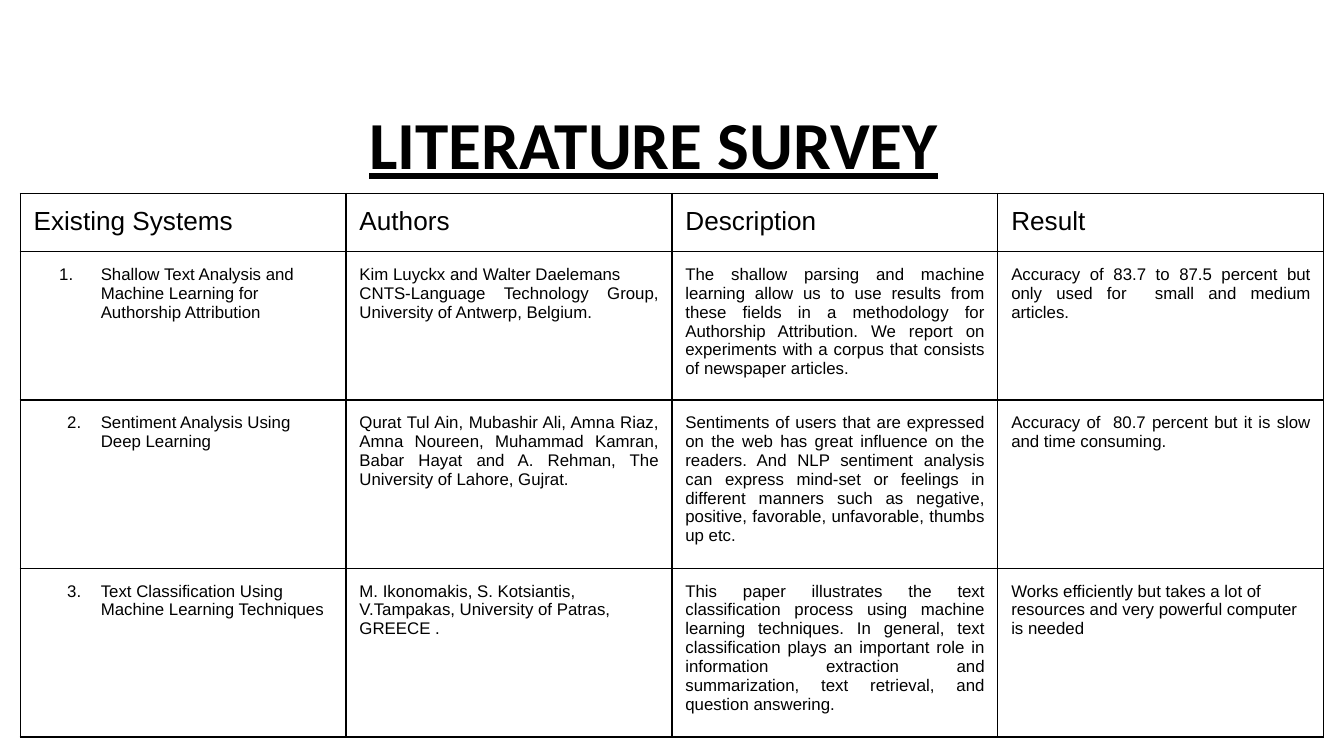
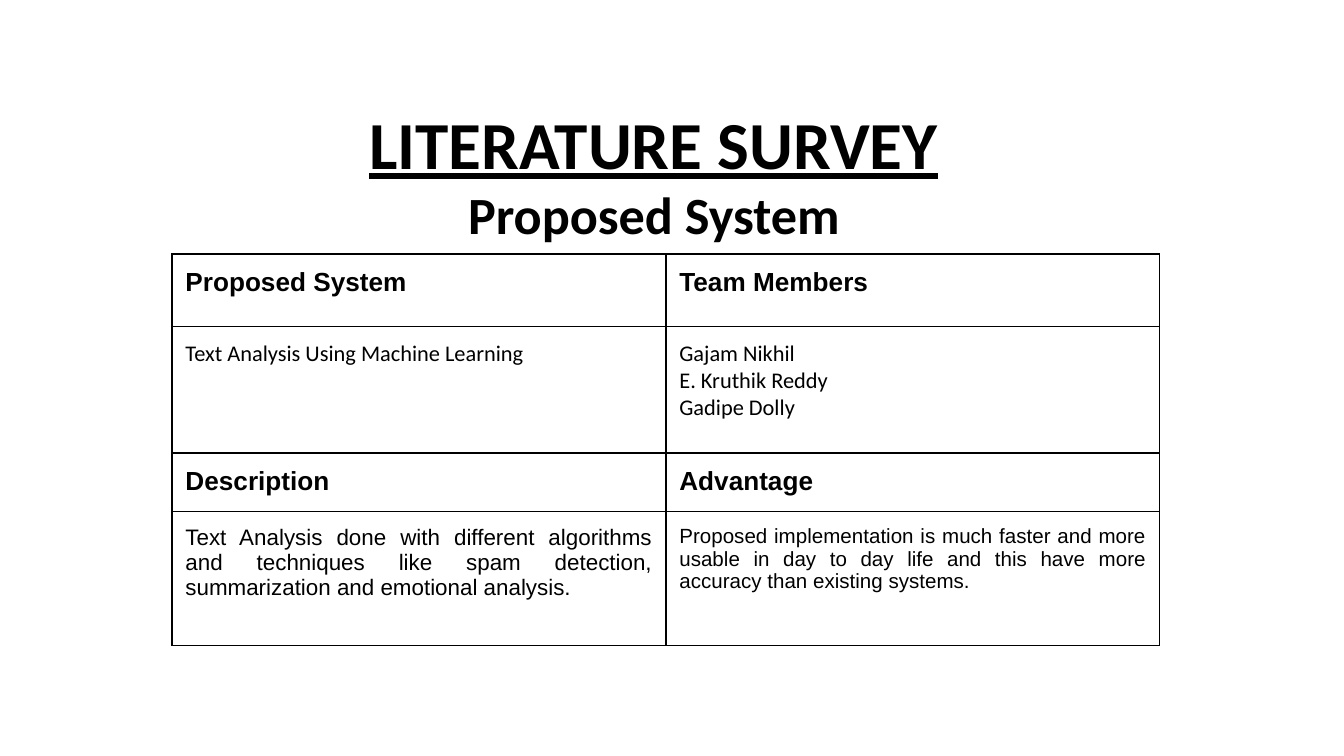
from dataclasses import dataclass
from typing import Optional

from lxml import etree
from pptx import Presentation
from pptx.dml.color import RGBColor
from pptx.enum import text
from pptx.oxml import ns
from pptx.util import Inches, Pt

LEFT, CENTER, JUSTIFY = text.PP_ALIGN.LEFT, text.PP_ALIGN.CENTER, text.PP_ALIGN.JUSTIFY


@dataclass(frozen=True)
class Style:
    size: float
    font: str = "Arial"
    bold: bool = False
    underline: bool = False


@dataclass(frozen=True)
class Theme:
    ink: RGBColor = RGBColor(0, 0, 0)
    paper: RGBColor = RGBColor(255, 255, 255)
    border: float = 0.75
    cell_margin: float = 0.1
    title: Style = Style(36, "Calibri", bold=True, underline=True)
    subtitle: Style = Style(28, "Calibri", bold=True)
    header: Style = Style(14)
    strong_header: Style = Style(14, bold=True)
    survey: Style = Style(9)
    people: Style = Style(12, "Calibri")
    description: Style = Style(12)
    advantage: Style = Style(11)


THEME = Theme()


@dataclass(frozen=True)
class Entry:
    """Content of one table cell; a newline starts a new paragraph."""
    words: str
    style: Style = THEME.survey
    align: text.PP_ALIGN = JUSTIFY
    hanging: Optional[float] = None
    auto_number: bool = False


@dataclass(frozen=True)
class Grid:
    left: float
    top: float
    width: float
    heights: list[float]
    rows: list[list[Entry]]


def headers(style: Style, *names: str) -> list[Entry]:
    return [Entry(name, style, LEFT) for name in names]


# Content
SURVEY = Grid(0.15, 1.44, 9.7, [0.43, 1.1, 1.25, 1.25], [
    headers(THEME.header, "Existing Systems", "Authors", "Description", "Result"),
    [
        Entry("Shallow Text Analysis and Machine Learning for Authorship "
              "Attribution", align=LEFT, hanging=0.31, auto_number=True),
        Entry("Kim Luyckx and Walter Daelemans\n"
              "CNTS-Language Technology Group, University of Antwerp, Belgium."),
        Entry("The shallow parsing and machine learning allow us to use results "
              "from these fields in a methodology for Authorship Attribution. "
              "We report on experiments with a corpus that consists of "
              "newspaper articles."),
        Entry("Accuracy of 83.7 to 87.5 percent but only used for  small and "
              "medium articles."),
    ],
    [
        Entry("2.\tSentiment Analysis Using Deep Learning", align=LEFT, hanging=0.25),
        Entry("Qurat Tul Ain, Mubashir Ali, Amna Riaz, Amna Noureen, Muhammad "
              "Kamran, Babar Hayat and A. Rehman, The University of Lahore, Gujrat."),
        Entry("Sentiments of users that are expressed on the web has great "
              "influence on the readers. And NLP sentiment analysis can express "
              "mind-set or feelings in different manners such as negative, "
              "positive, favorable, unfavorable, thumbs up etc."),
        Entry("Accuracy of  80.7 percent but it is slow and time consuming."),
    ],
    [
        Entry("3.\tText Classification Using Machine Learning Techniques",
              align=LEFT, hanging=0.25),
        Entry("M. Ikonomakis, S. Kotsiantis, V.Tampakas, University of Patras, "
              "GREECE .", align=LEFT),
        Entry("This paper illustrates the text classification process using "
              "machine learning techniques. In general, text classification "
              "plays an important role in information extraction and "
              "summarization, text retrieval, and question answering."),
        Entry("Works efficiently but takes a lot of resources and very powerful "
              "computer is needed", align=LEFT),
    ],
])

PROPOSAL = Grid(1.28, 1.89, 7.35, [0.54, 0.94], [
    headers(THEME.strong_header, "Proposed System", "Team Members"),
    [
        Entry("Text Analysis Using Machine Learning", THEME.people),
        Entry("Gajam Nikhil\nE. Kruthik Reddy\nGadipe Dolly", THEME.people, LEFT),
    ],
])

BENEFITS = Grid(1.28, 3.37, 7.35, [0.43, 1.0], [
    headers(THEME.strong_header, "Description", "Advantage"),
    [
        Entry("Text Analysis done with different algorithms and techniques like "
              "spam detection, summarization and emotional analysis.",
              THEME.description),
        Entry("Proposed implementation is much faster and more usable in day to "
              "day life and this have more accuracy than existing systems.",
              THEME.advantage),
    ],
])


# Drawing
def format_para(para, style: Style, align: text.PP_ALIGN) -> None:
    para.alignment = align
    for span in para.runs:
        font = span.font
        font.name, font.size = style.font, Pt(style.size)
        font.bold, font.underline = style.bold, style.underline
        font.color.rgb = THEME.ink


def indent_para(para, hanging: float, auto_number: bool) -> None:
    props = para._p.get_or_add_pPr()
    props.set("marL", str(Inches(0.5)))
    props.set("indent", str(-Inches(hanging)))
    if auto_number:
        etree.SubElement(props, ns.qn("a:buAutoNum"), type="arabicPeriod")


def draw_borders(cell) -> None:
    props = cell._tc.get_or_add_tcPr()
    for side in ("L", "R", "T", "B"):
        line = etree.SubElement(props, ns.qn(f"a:ln{side}"), w=str(Pt(THEME.border)))
        fill = etree.SubElement(line, ns.qn("a:solidFill"))
        etree.SubElement(fill, ns.qn("a:srgbClr"), val=str(THEME.ink))


def fill_cell(cell, entry: Entry) -> None:
    margin = Inches(THEME.cell_margin)
    cell.margin_left = cell.margin_right = margin
    cell.margin_top = cell.margin_bottom = margin
    draw_borders(cell)
    cell.fill.background()
    cell.text_frame.text = entry.words
    for para in cell.text_frame.paragraphs:
        format_para(para, entry.style, entry.align)
        if entry.hanging is not None:
            indent_para(para, entry.hanging, entry.auto_number)


def add_grid(page, grid: Grid) -> None:
    columns = len(grid.rows[0])
    table = page.shapes.add_table(
        len(grid.rows), columns, Inches(grid.left), Inches(grid.top),
        Inches(grid.width), Inches(sum(grid.heights))).table
    table.first_row = table.horz_banding = False
    for column in table.columns:
        column.width = Inches(grid.width / columns)
    for row, height, entries in zip(table.rows, grid.heights, grid.rows):
        row.height = Inches(height)
        for cell, entry in zip(row.cells, entries):
            fill_cell(cell, entry)


def add_title(page, height: float, subtitle: str = "") -> None:
    box = page.shapes.add_textbox(Inches(2.2), Inches(0.71), Inches(5.33), Inches(height))
    frame = box.text_frame
    frame.word_wrap = True
    frame.auto_size = text.MSO_AUTO_SIZE.SHAPE_TO_FIT_TEXT
    frame.text = "LITERATURE SURVEY"
    format_para(frame.paragraphs[0], THEME.title, CENTER)
    if subtitle:
        para = frame.add_paragraph()
        para.text = subtitle
        format_para(para, THEME.subtitle, CENTER)


def add_page(deck):
    page = deck.slides.add_slide(deck.slide_layouts[6])
    page.background.fill.solid()
    page.background.fill.fore_color.rgb = THEME.paper
    return page


def main() -> None:
    deck = Presentation()
    # Widescreen, 16:9
    deck.slide_width, deck.slide_height = Inches(10), Inches(10 * 9 / 16)

    # Existing systems
    page = add_page(deck)
    add_title(page, 0.71)
    add_grid(page, SURVEY)

    # Proposed system
    page = add_page(deck)
    add_title(page, 1.18, "Proposed System")
    add_grid(page, PROPOSAL)
    add_grid(page, BENEFITS)

    deck.save("out.pptx")


if __name__ == "__main__":
    main()
